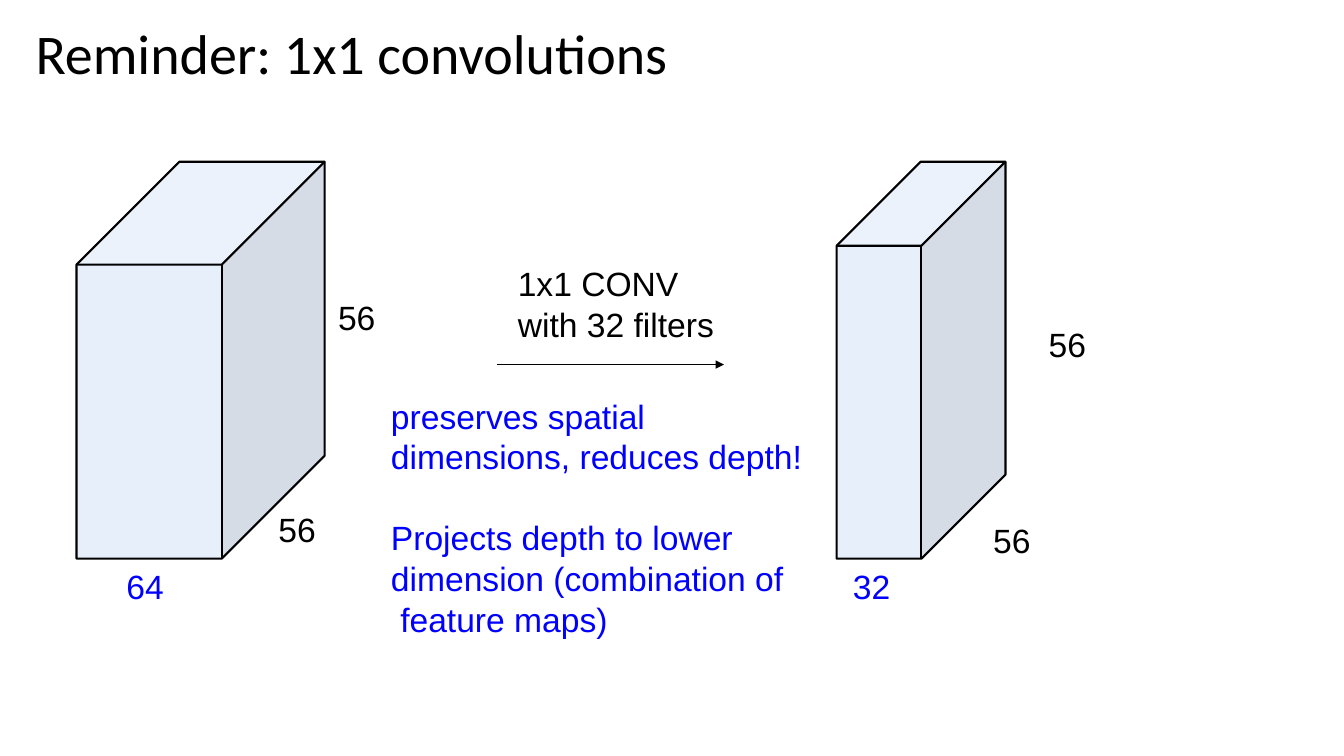
from lxml.etree import SubElement
from pptx import Presentation
from pptx.dml.color import RGBColor
from pptx.enum.shapes import MSO_CONNECTOR
from pptx.enum.text import MSO_ANCHOR
from pptx.oxml.ns import qn
from pptx.util import Inches, Pt

COLUMNS, ROWS = 160, 90
SLIDE_WIDTH, SLIDE_HEIGHT = Inches(13.33), Inches(7.5)
BLACK, BLUE = "000000", "0000FF"
FRONT, SIDE, TOP = "C9DAF7", "A0AEC6", "D3E1F9"
FACE_ALPHA = 43000
VOLUME_TOP, VOLUME_BOTTOM = 19.25, 66.5


def color(value):
    return RGBColor.from_string(value)


def x(columns):
    return round(SLIDE_WIDTH * columns / COLUMNS)


def y(rows):
    return round(SLIDE_HEIGHT * rows / ROWS)


def add_text(slide, box, lines, size=24, font="Arial", ink=BLACK, spacing=1.0,
             anchor=MSO_ANCHOR.TOP):
    left, top, width, height = box
    shape = slide.shapes.add_textbox(x(left), y(top), x(width), y(height))
    frame = shape.text_frame
    frame.word_wrap = True
    frame.vertical_anchor = anchor
    frame.margin_left = frame.margin_top = Inches(0.02)
    frame.margin_right = frame.margin_bottom = 0
    for index, line in enumerate(lines):
        paragraph = frame.add_paragraph() if index else frame.paragraphs[0]
        paragraph.text = line
        paragraph.line_spacing = spacing
        paragraph.font.name = font
        paragraph.font.size = Pt(size)
        paragraph.font.color.rgb = color(ink)


def add_outline(slide, points, fill=None, closed=True):
    corners = [(x(column), y(row)) for column, row in points]
    builder = slide.shapes.build_freeform(*corners[0], scale=1.0)
    builder.add_line_segments(corners[1:], close=closed)
    shape = builder.convert_to_shape()
    shape.shadow.inherit = False
    if fill:
        shape.line.fill.background()
        shape.fill.solid()
        shape.fill.fore_color.rgb = color(fill)
        tint = shape.fill._xPr.find(qn("a:solidFill"))[0]
        SubElement(tint, qn("a:alpha")).set("val", str(FACE_ALPHA))
    else:
        shape.fill.background()
        shape.line.color.rgb = color(BLACK)
        shape.line.width = Pt(1.5)


def add_volume(slide, left, width, depth):
    right, front_top = left + width, VOLUME_TOP + depth
    front_left, front_right = (left, front_top), (right, front_top)
    base_left, base_right = (left, VOLUME_BOTTOM), (right, VOLUME_BOTTOM)
    back_left = (left + depth, VOLUME_TOP)
    back_right = (right + depth, VOLUME_TOP)
    back_base = (right + depth, VOLUME_BOTTOM - depth)

    add_outline(slide, [front_left, front_right, base_right, base_left], FRONT)
    add_outline(slide, [base_right, front_right, back_right, back_base], SIDE)
    add_outline(slide, [front_right, front_left, back_left, back_right], TOP)
    add_outline(slide, [front_left, back_left, back_right, back_base,
                        base_right, base_left])
    add_outline(slide, [front_left, front_right, back_right], closed=False)
    add_outline(slide, [front_right, base_right], closed=False)


def add_arrow(slide, start, end, row):
    arrow = slide.shapes.add_connector(MSO_CONNECTOR.STRAIGHT,
                                       x(start), y(row), x(end), y(row))
    arrow.line.color.rgb = color(BLACK)
    arrow.line.width = Pt(0.75)
    SubElement(arrow.line._get_or_add_ln(), qn("a:tailEnd")).set("type", "triangle")
    SubElement(arrow._element.spPr, qn("a:effectLst"))


def main():
    presentation = Presentation()
    presentation.slide_width, presentation.slide_height = SLIDE_WIDTH, SLIDE_HEIGHT
    slide = presentation.slides.add_slide(presentation.slide_layouts[6])

    add_text(slide, (4, 2.4, 82.7, 8.3), ["Reminder: 1x1 convolutions"],
             size=40, font="Calibri", spacing=0.9, anchor=MSO_ANCHOR.MIDDLE)

    add_volume(slide, left=9.1, width=17.3, depth=12.25)
    add_volume(slide, left=99.6, width=10.1, depth=10)

    for label, left, top, ink in [
        ("64", 14.8, 67.1, BLUE),
        ("56", 32.9, 60.3, BLACK),
        ("56", 40, 35.1, BLACK),
        ("32", 101.3, 67.1, BLUE),
        ("56", 118, 61.6, BLACK),
        ("56", 124.6, 38.3, BLACK),
    ]:
        add_text(slide, (left, top, 4.9, 5), [label], ink=ink)

    add_arrow(slide, 59.2, 86.2, 43.4)
    add_text(slide, (61.4, 31.1, 24.5, 10), ["1x1 CONV", "with 32 filters"])
    add_text(slide, (46.3, 46.8, 50, 9.7),
             ["preserves spatial\vdimensions, reduces depth!"],
             ink=BLUE, spacing=1.01)
    add_text(slide, (46.3, 61.3, 48, 14.5),
             ["Projects depth to lower\vdimension (combination of\v feature maps)"],
             ink=BLUE, spacing=1.01)

    presentation.save("out.pptx")


if __name__ == "__main__":
    main()
